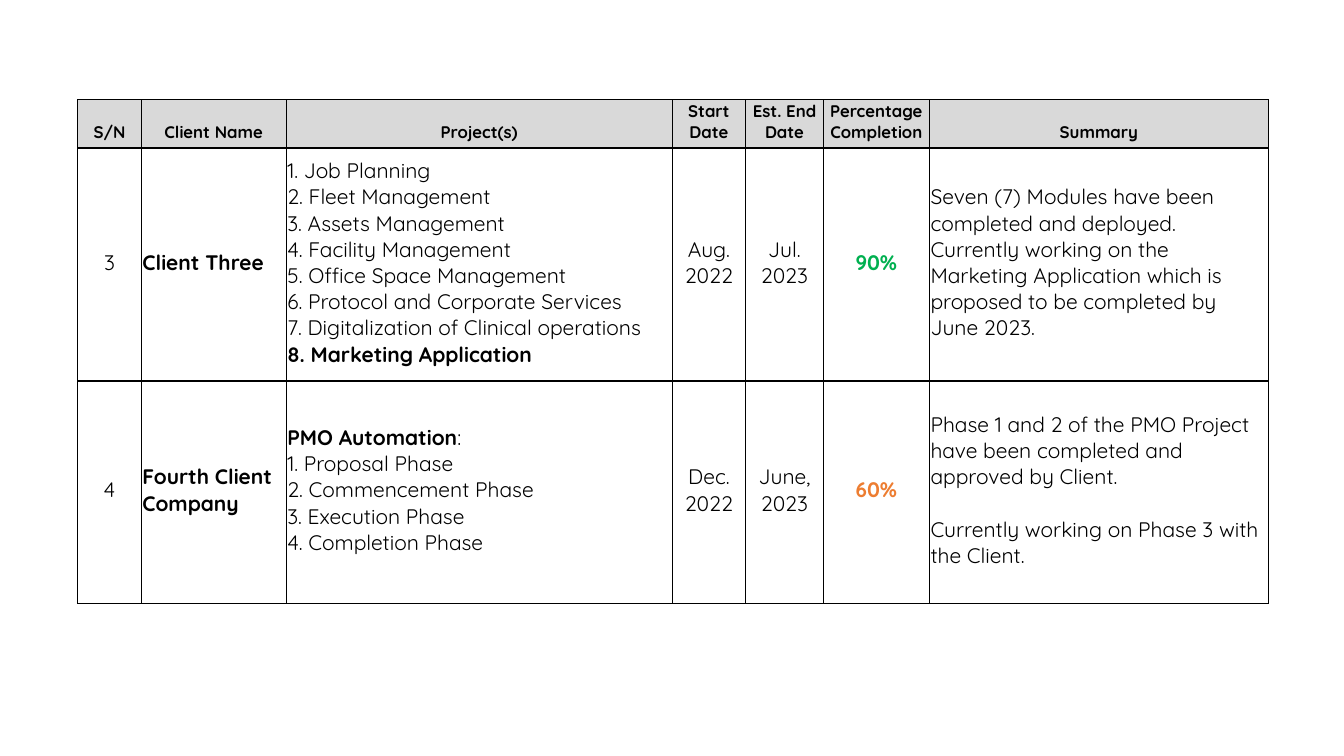
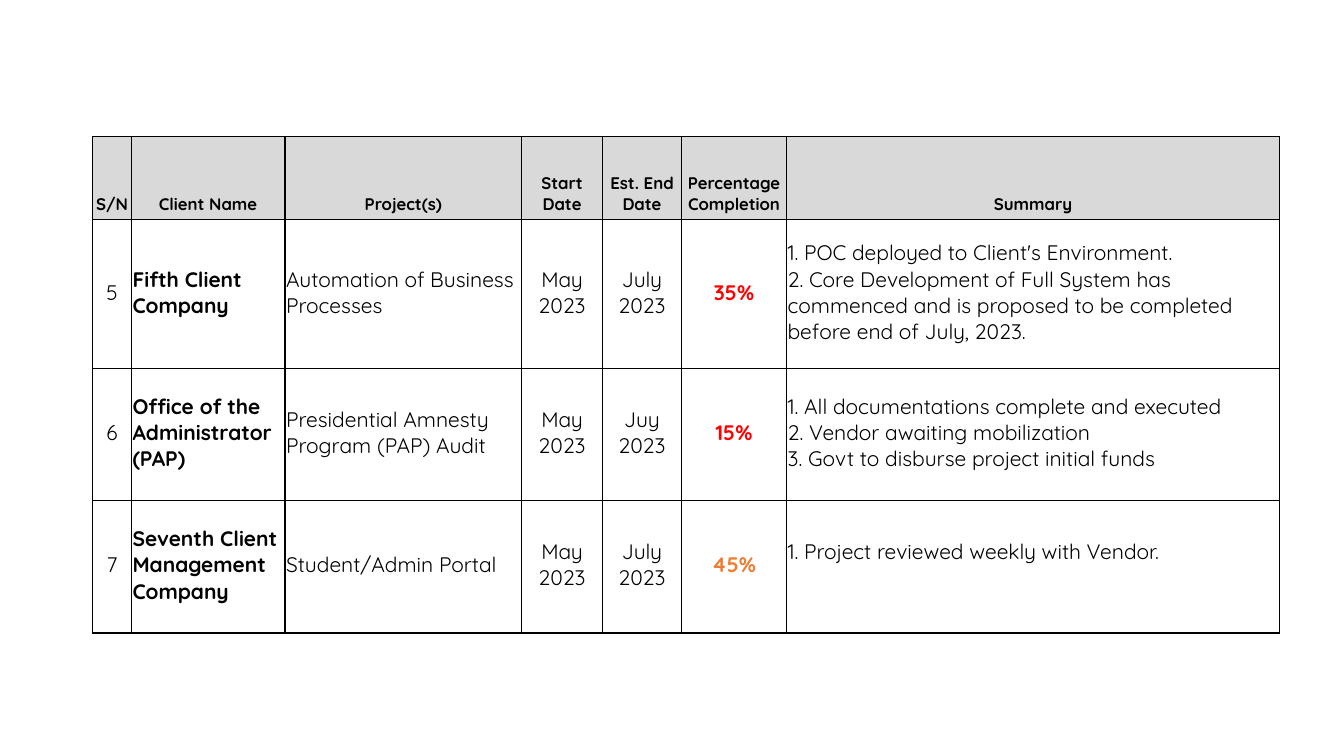
from dataclasses import dataclass
from lxml import etree
from pptx import Presentation
from pptx import util as u
from pptx.dml.color import RGBColor
from pptx.enum import text as t
from pptx.oxml.ns import qn


@dataclass(frozen=True)
class Theme:
    font: str = "Quicksand"
    ink: str = "000000"
    head: str = "D9D9D9"
    high: str = "00B050"
    mid: str = "ED7D31"
    low: str = "FF0000"
    small: int = 12
    body: int = 15
    line: int = 1
    gap: float = 18.7
    inset: float = 0.03
    foot: float = 0.13


TH = Theme()
HEADS = ["S/N", "Client Name", "Project(s)", "Start Date", "Est. End Date",
         "Percentage Completion", "Summary"]
LEFT = {1, 2, 6}
BOLD = {1, 5}
RATE = 5


def put(cell, words, size=TH.body, color=TH.ink, bold=False, left=False,
        anchor=t.MSO_ANCHOR.MIDDLE, gap=0, foot=TH.foot):
    cell.margin_left = cell.margin_right = cell.margin_top = u.Cm(TH.inset)
    cell.margin_bottom = u.Cm(foot)
    cell.vertical_anchor = anchor
    frame = cell.text_frame
    frame.word_wrap = True
    for i, line in enumerate(words.split("\n")):
        para = frame.paragraphs[0] if i == 0 else frame.add_paragraph()
        para.alignment = t.PP_ALIGN.LEFT if left else t.PP_ALIGN.CENTER
        if i and gap:
            para.space_before = u.Pt(gap)
        for j, part in enumerate(line.split("*")):
            if part:
                run = para.add_run()
                run.text = part
                run.font.name = TH.font
                run.font.size = u.Pt(size)
                run.font.bold = bold or j % 2 == 1
                run.font.color.rgb = RGBColor.from_string(color)


def edge(cell):
    props = cell._tc.get_or_add_tcPr()
    for side in ("a:lnL", "a:lnR", "a:lnT", "a:lnB"):
        line = etree.SubElement(props, qn(side), w=str(u.Pt(TH.line)))
        fill = etree.SubElement(line, qn("a:solidFill"))
        etree.SubElement(fill, qn("a:srgbClr"), val=TH.ink)


def tone(rate):
    value = int(rate.rstrip("%"))
    return TH.high if value >= 75 else TH.mid if value >= 40 else TH.low


def report(deck, box, cols, highs, rows, extra):
    slide = deck.slides.add_slide(deck.slide_layouts[6])
    x, y = box
    table = slide.shapes.add_table(
        len(highs), len(cols), u.Cm(x), u.Cm(y),
        u.Cm(sum(cols)), u.Cm(sum(highs))).table
    table.first_row = table.horz_banding = False
    for col, wide in zip(table.columns, cols):
        col.width = u.Cm(wide)
    for row, high in zip(table.rows, highs):
        row.height = u.Cm(high)
    for r, row in enumerate([HEADS] + rows):
        for c, words in enumerate(row):
            cell = table.cell(r, c)
            edge(cell)
            if r == 0:
                cell.fill.solid()
                cell.fill.fore_color.rgb = RGBColor.from_string(TH.head)
                put(cell, words, size=TH.small, bold=True,
                    anchor=t.MSO_ANCHOR.BOTTOM)
            else:
                cell.fill.background()
                put(cell, words, bold=c in BOLD, left=c in LEFT,
                    color=tone(words) if c == RATE else TH.ink,
                    **extra.get((r, c), {}))


def main():
    deck = Presentation()
    deck.slide_width, deck.slide_height = u.Cm(33.87), u.Cm(19.05)
    report(
        deck, (1.96, 2.51),
        [1.6, 3.65, 9.73, 1.85, 1.96, 2.67, 8.55], [1.17, 5.87, 5.6],
        [["3", "Client Three",
          "1. Job Planning\n2. Fleet Management\n3. Assets Management\n"
          "4. Facility Management\n5. Office Space Management\n"
          "6. Protocol and Corporate Services\n"
          "7. Digitalization of Clinical operations\n"
          "*8. Marketing Application*",
          "Aug. 2022", "Jul. 2023", "90%",
          "Seven (7) Modules have been completed and deployed. Currently "
          "working on the Marketing Application which is proposed to be "
          "completed by June 2023."],
         ["4", "Fourth Client Company",
          "*PMO Automation*:\n1. Proposal Phase\n2. Commencement Phase\n"
          "3. Execution Phase\n4. Completion Phase",
          "Dec. 2022", "June, 2023", "60%",
          "Phase 1 and 2 of the PMO Project have been completed and approved "
          "by Client.\nCurrently working on Phase 3 with the Client."]],
        {(2, 6): {"gap": TH.gap}})
    report(
        deck, (2.34, 3.43),
        [0.97, 3.87, 5.97, 2.03, 2, 2.64, 12.43], [2.11, 3.75, 3.33, 3.33],
        [["5", "Fifth Client Company", "Automation of Business Processes",
          "May 2023", "July 2023", "35%",
          "1. POC deployed to Client's Environment.\n"
          "2. Core Development of Full System has commenced and is proposed "
          "to be completed before end of July, 2023."],
         ["6", "Office of the Administrator (PAP)",
          "Presidential Amnesty Program (PAP) Audit",
          "May\n2023", "Juy 2023", "15%",
          "1. All documentations complete and executed\n"
          "2. Vendor awaiting mobilization\n"
          "3. Govt to disburse project initial funds"],
         ["7", "Seventh Client Management Company", "Student/Admin Portal",
          "May 2023", "July 2023", "45%",
          "1. Project reviewed weekly with Vendor."]],
        {(3, 6): {"foot": 0.79}})
    deck.save("out.pptx")


if __name__ == "__main__":
    main()
